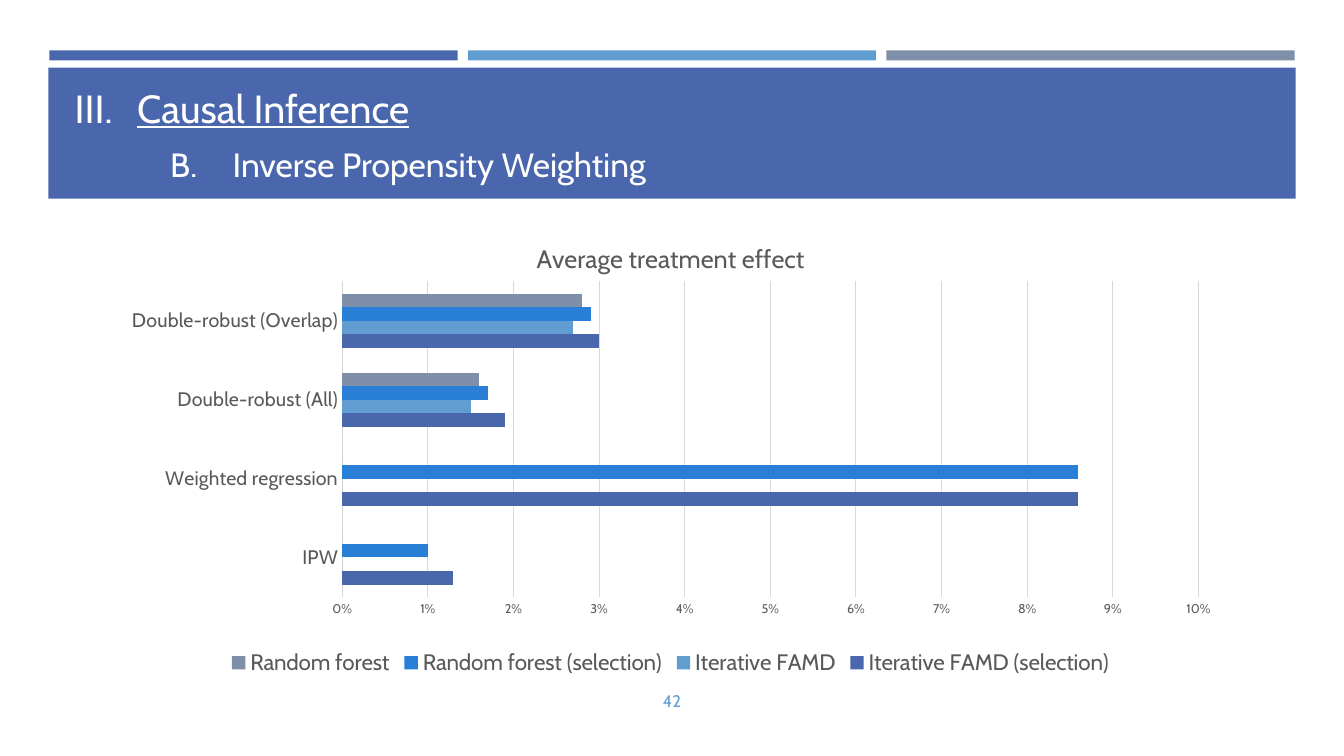
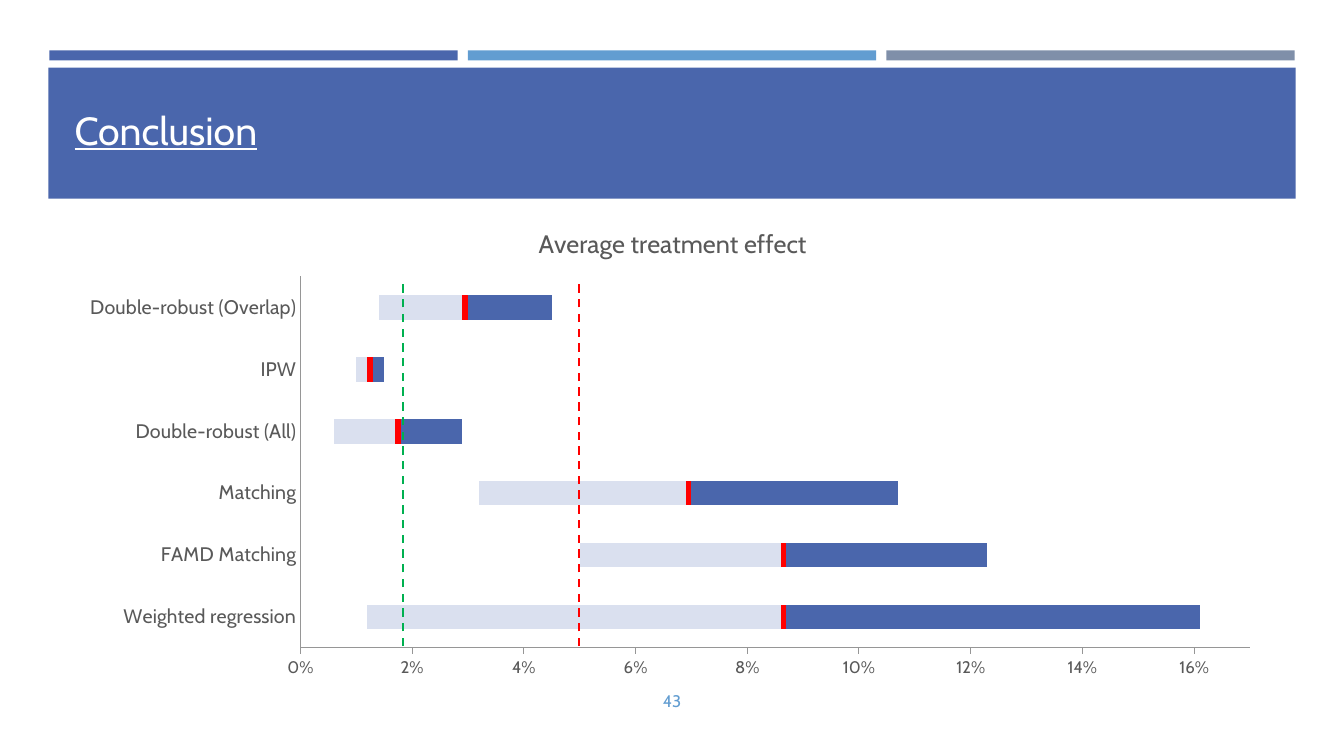
from lxml import etree
from pptx import Presentation
from pptx.chart.data import CategoryChartData
from pptx.dml.color import RGBColor
from pptx.enum.chart import XL_CHART_TYPE, XL_LEGEND_POSITION, XL_TICK_MARK
from pptx.enum.dml import MSO_LINE
from pptx.enum.shapes import MSO_CONNECTOR, MSO_SHAPE
from pptx.enum.text import MSO_ANCHOR, MSO_AUTO_SIZE, PP_ALIGN
from pptx.oxml.ns import qn
from pptx.util import Inches, Pt

CLUSTERED, STACKED = XL_CHART_TYPE.BAR_CLUSTERED, XL_CHART_TYPE.BAR_STACKED
LEGEND_BOTTOM = XL_LEGEND_POSITION.BOTTOM
TICK_NONE, TICK_OUTSIDE = XL_TICK_MARK.NONE, XL_TICK_MARK.OUTSIDE
DASH = MSO_LINE.DASH
STRAIGHT, RECTANGLE = MSO_CONNECTOR.STRAIGHT, MSO_SHAPE.RECTANGLE
MIDDLE, BOTTOM = MSO_ANCHOR.MIDDLE, MSO_ANCHOR.BOTTOM
LEFT, CENTER = PP_ALIGN.LEFT, PP_ALIGN.CENTER
NO_AUTOFIT = MSO_AUTO_SIZE.NONE

FONT = "Cabin"
WHITE = RGBColor(0xFF, 0xFF, 0xFF)
INDIGO = RGBColor(0x4A, 0x66, 0xAC)
SKY = RGBColor(0x62, 0x9D, 0xD1)
SLATE = RGBColor(0x7F, 0x8F, 0xA9)
AZURE = RGBColor(0x29, 0x7F, 0xD5)
PALE = RGBColor(0xDA, 0xE0, 0xEF)
RED = RGBColor(0xFF, 0x00, 0x00)
GREEN = RGBColor(0x00, 0xB0, 0x50)
TEXT_GRAY = RGBColor(0x59, 0x59, 0x59)
AXIS_GRAY = RGBColor(0x96, 0x96, 0x96)
GRID_GRAY = RGBColor(0xD9, 0xD9, 0xD9)

# Content
CHART_TITLE = "Average treatment effect"
ESTIMATES = {
    "type": CLUSTERED, "box": (1.15, 2.21, 11, 4.54),
    "plot": (0.204, 0.128, 0.772, 0.69), "gap": 182,
    "categories": ["IPW", "Weighted regression", "Double-robust (All)",
                   "Double-robust (Overlap)"],
    "series": [
        ("Iterative FAMD (selection)", INDIGO, (0.013, 0.086, 0.019, 0.03)),
        ("Iterative FAMD", SKY, (0, 0, 0.015, 0.027)),
        ("Random forest (selection)", AZURE, (0.01, 0.086, 0.017, 0.029)),
        ("Random forest", SLATE, (0, 0, 0.016, 0.028)),
    ],
    "maximum": 0.1, "step": 0.01, "label_size": 9, "tick": TICK_NONE,
    "category_line": GRID_GRAY, "value_line": None,
    "grid": True, "legend": True,
}
HALF_WIDTHS = (0.074, 0.036, 0.037, 0.011, 0.002, 0.015)
INTERVALS = {
    "type": STACKED, "box": (0.64, 2.05, 12.06, 4.78),
    "plot": (0.194, 0.145, 0.781, 0.771), "gap": 150,
    "categories": ["Weighted regression", "FAMD Matching", "Matching",
                   "Double-robust (All)", "IPW", "Double-robust (Overlap)"],
    "series": [
        ("Series 1", None, (0.012, 0.05, 0.032, 0.006, 0.01, 0.014)),
        ("Series 2", PALE, HALF_WIDTHS),
        ("Series 3", RED, (0.001,) * 6),
        ("Series 4", INDIGO, HALF_WIDTHS),
    ],
    "maximum": 0.17, "step": 0.02, "label_size": 12, "tick": TICK_OUTSIDE,
    "category_line": AXIS_GRAY, "value_line": AXIS_GRAY,
    "grid": False, "legend": False,
}
SLIDES = [
    {"number": 42, "title": "Causal Inference", "title_top": 0.77,
     "title_numbering": ("romanUcPeriod", 3),
     "subtitle": "Inverse Propensity Weighting", "chart": ESTIMATES,
     "markers": []},
    {"number": 43, "title": "Conclusion", "title_top": 0.99,
     "title_numbering": None, "subtitle": None, "chart": INTERVALS,
     "markers": [(5.74, RED), (4, GREEN)]},
]


def inches(*lengths):
    return [Inches(length) for length in lengths]


def style_font(font, size, color):
    font.name, font.size, font.bold = FONT, Pt(size), False
    font.color.rgb = color


def style_line(line, color, width=0.75):
    if color is None:
        line.fill.background()
    else:
        line.color.rgb = color
        line.width = Pt(width)


def add_numbering(paragraph, scheme, start, margin):
    """Number a paragraph with a hanging indent."""
    properties = paragraph._p.get_or_add_pPr()
    properties.set("marL", str(Inches(margin)))
    properties.set("indent", str(Inches(-0.62)))
    bullet_color = etree.Element(qn("a:buClr"))
    etree.SubElement(bullet_color, qn("a:srgbClr"), val=str(WHITE))
    bullet = etree.Element(qn("a:buAutoNum"), type=scheme, startAt=str(start))
    properties.insert(0, bullet_color)
    properties.insert(1, bullet)


def write_text(shape, text, size, color, anchor=MIDDLE, alignment=LEFT):
    frame = shape.text_frame
    frame.text = text
    frame.word_wrap = True
    frame.auto_size = NO_AUTOFIT
    frame.vertical_anchor = anchor
    paragraph = frame.paragraphs[0]
    paragraph.alignment = alignment
    style_font(paragraph.font, size, color)
    return paragraph


def move_bands_to_layout(slide):
    """Draw the header bands and place them behind the layout's content."""
    bands = [((0.49 + 4.15 * column, 0.5, 4.05, 0.1), color)
             for column, color in enumerate((INDIGO, SKY, SLATE))]
    bands.append(((0.48, 0.67, 12.37, 1.3), INDIGO))
    for position, (box, color) in enumerate(bands):
        band = slide.shapes.add_shape(RECTANGLE, *inches(*box))
        band.shadow.inherit = False
        band.fill.solid()
        band.fill.fore_color.rgb = color
        band.line.fill.background()
        slide.slide_layout.shapes.element.insert(2 + position, band.element)


def add_header(slide, content):
    title = slide.shapes.title
    title.left, title.top, title.width, title.height = inches(
        0.64, content["title_top"], 12.06, 0.59)
    paragraph = write_text(title, content["title"], 28, WHITE)
    paragraph.font.underline = True
    if content["title_numbering"]:
        add_numbering(paragraph, *content["title_numbering"], 0.62)
    if content["subtitle"]:
        box = slide.shapes.add_textbox(*inches(0.64, 1.36, 12.06, 0.52))
        paragraph = write_text(box, content["subtitle"], 24, WHITE, BOTTOM)
        add_numbering(paragraph, "alphaUcPeriod", 2, 1.57)


def set_plot_area(chart, fractions):
    """Fix the inner plot area as fractions of the chart."""
    plot_area = chart.element.find(".//" + qn("c:plotArea"))
    for old_layout in plot_area.findall(qn("c:layout")):
        plot_area.remove(old_layout)
    layout = etree.Element(qn("c:layout"))
    manual = etree.SubElement(layout, qn("c:manualLayout"))
    settings = [("layoutTarget", "inner"), ("xMode", "edge"), ("yMode", "edge")]
    settings += zip("xywh", fractions)
    for name, value in settings:
        etree.SubElement(manual, qn("c:" + name), val=str(value))
    plot_area.insert(0, layout)


def add_bar_chart(slide, design):
    data = CategoryChartData(number_format="0%")
    data.categories = design["categories"]
    for name, _, values in design["series"]:
        data.add_series(name, values)
    chart = slide.shapes.add_chart(
        design["type"], *inches(*design["box"]), data).chart
    style_font(chart.font, 12, TEXT_GRAY)
    set_plot_area(chart, design["plot"])

    # Title and legend
    chart.has_title = True
    title_frame = chart.chart_title.text_frame
    title_frame.text = CHART_TITLE
    style_font(title_frame.paragraphs[0].font, 18, TEXT_GRAY)
    chart.has_legend = design["legend"]
    if design["legend"]:
        chart.legend.position = LEGEND_BOTTOM
        chart.legend.include_in_layout = False
        style_font(chart.legend.font, 16, TEXT_GRAY)

    # Bars
    plot = chart.plots[0]
    plot.gap_width = design["gap"]
    plot.overlap = 100 if design["type"] == STACKED else 0
    plot.vary_by_categories = False
    for series, (_, color, _) in zip(plot.series, design["series"]):
        if color is None:
            series.format.fill.background()
        else:
            series.format.fill.solid()
            series.format.fill.fore_color.rgb = color

    # Axes
    category_axis, value_axis = chart.category_axis, chart.value_axis
    category_axis.major_tick_mark = TICK_NONE
    style_font(category_axis.tick_labels.font, 14, TEXT_GRAY)
    style_line(category_axis.format.line, design["category_line"])
    value_axis.minimum_scale = 0
    value_axis.maximum_scale = design["maximum"]
    value_axis.major_unit = design["step"]
    value_axis.major_tick_mark = design["tick"]
    value_axis.tick_labels.number_format = "0%"
    value_axis.tick_labels.number_format_is_linked = False
    style_font(value_axis.tick_labels.font, design["label_size"], TEXT_GRAY)
    style_line(value_axis.format.line, design["value_line"])
    value_axis.has_major_gridlines = design["grid"]
    if design["grid"]:
        style_line(value_axis.major_gridlines.format.line, GRID_GRAY)


def add_marker(slide, x, color):
    """Draw a vertical dashed reference line over the chart."""
    marker = slide.shapes.add_connector(STRAIGHT, *inches(x, 6.41, x, 2.82))
    style_line(marker.line, color, 1.5)
    marker.line.dash_style = DASH
    etree.SubElement(marker.element.spPr, qn("a:effectLst"))


def main():
    presentation = Presentation()
    presentation.slide_width, presentation.slide_height = inches(13.33, 7.5)
    title_only = presentation.slide_layouts[5]
    for index, content in enumerate(SLIDES):
        slide = presentation.slides.add_slide(title_only)
        if index == 0:
            move_bands_to_layout(slide)
        add_header(slide, content)
        number = slide.shapes.add_textbox(*inches(6.09, 6.75, 1.15, 0.4))
        write_text(number, str(content["number"]), 12, SKY, alignment=CENTER)
        add_bar_chart(slide, content["chart"])
        for x, color in content["markers"]:
            add_marker(slide, x, color)
    presentation.save("out.pptx")


if __name__ == "__main__":
    main()
